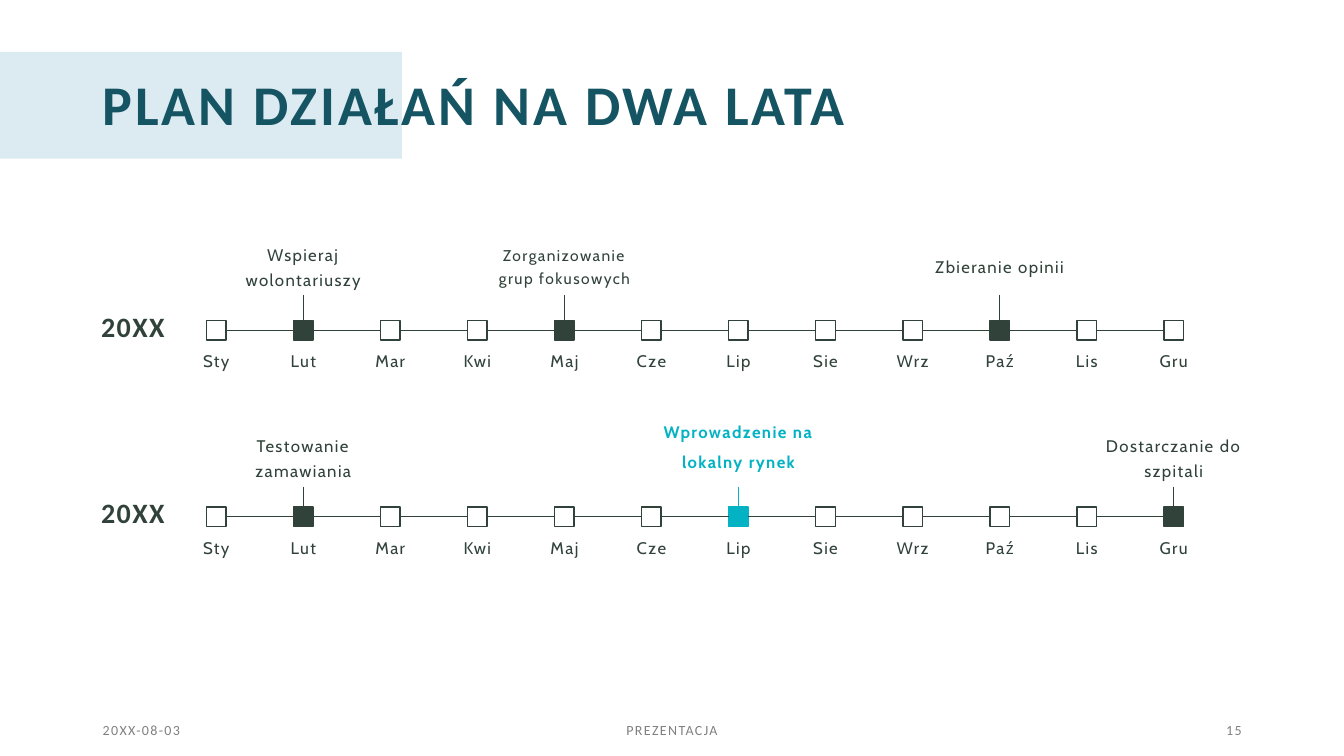
"""Build the two-year action plan slide with one month timeline per year."""
from dataclasses import dataclass

import lxml.etree
import pptx
import pptx.dml.color
import pptx.enum.shapes
import pptx.enum.text
import pptx.oxml.ns
import pptx.shapes.autoshape
import pptx.shapes.base
import pptx.shapes.connector
import pptx.slide
import pptx.text.text
import pptx.util

Cm = pptx.util.Cm
Align = pptx.enum.text.PP_ALIGN
Anchor = pptx.enum.text.MSO_ANCHOR

DARK = "30423A"
ACCENT = "04B3C3"
TITLE = "155463"
BAND = "DCEAF1"
GREY = "808080"

MONTHS = ["Sty", "Lut", "Mar", "Kwi", "Maj", "Cze", "Lip", "Sie", "Wrz", "Paź", "Lis", "Gru"]
FIRST_CENTER = 5.45
AXIS_LENGTH = 24.13
SQUARE = 0.49
MONTH_WIDTH = 1.7


@dataclass
class Event:
    month: str
    text: str
    size: float = 12
    color: str = DARK
    bold: bool = False
    spacing: float = 1.25
    width: float = 3.99
    height: float = 1.53


@dataclass
class Year:
    name: str
    axis: float
    event_bottom: float
    events: list[Event]


@dataclass
class Footer:
    text: str
    left: float
    width: float
    align: Align


YEARS = [
    Year("20XX", 8.32, 7.43, [
        Event("Lut", "Wspieraj wolontariuszy"),
        Event("Maj", "Zorganizowanie grup fokusowych", size=11.1),
        Event("Paź", "Zbieranie opinii"),
    ]),
    Year("20XX", 13.02, 12.26, [
        Event("Lut", "Testowanie zamawiania"),
        Event("Lip", "Wprowadzenie na lokalny rynek", size=11.9, color=ACCENT,
              bold=True, spacing=1.5, width=4.45, height=2.24),
        Event("Gru", "Dostarczanie do szpitali"),
    ]),
]

FOOTERS = [
    Footer("20XX-08-03", 2.34, 7.62, Align.LEFT),
    Footer("PREZENTACJA", 11.22, 11.43, Align.CENTER),
    Footer("15", 23.92, 7.62, Align.RIGHT),
]


def rgb(color: str) -> pptx.dml.color.RGBColor:
    return pptx.dml.color.RGBColor.from_string(color)


def write(frame: pptx.text.text.TextFrame, text: str, *, font: str = "Cabin",
          size: float = 12, color: str = DARK, bold: bool = False,
          align: Align = Align.CENTER, anchor: Anchor = Anchor.MIDDLE,
          spacing: float = 1.0, tracking: float = 1) -> None:
    frame.word_wrap = True
    frame.auto_size = pptx.enum.text.MSO_AUTO_SIZE.NONE
    frame.vertical_anchor = anchor
    para = frame.paragraphs[0]
    para.alignment = align
    para.line_spacing = spacing
    span = para.add_run()
    span.text = text
    span.font.name = font
    span.font.size = pptx.util.Pt(size)
    span.font.bold = bold
    span.font.color.rgb = rgb(color)
    span._r.get_or_add_rPr().set("spc", str(round(tracking * 100)))


def add_text(page: pptx.slide.Slide, left: float, top: float, width: float,
             height: float, text: str, **style) -> pptx.shapes.autoshape.Shape:
    box = page.shapes.add_textbox(Cm(left), Cm(top), Cm(width), Cm(height))
    write(box.text_frame, text, **style)
    return box


def add_rectangle(page: pptx.slide.Slide, left: float, top: float, width: float,
                  height: float, fill: str | None,
                  line: str | None) -> pptx.shapes.autoshape.Shape:
    box = page.shapes.add_shape(pptx.enum.shapes.MSO_SHAPE.RECTANGLE,
                                Cm(left), Cm(top), Cm(width), Cm(height))
    box.shadow.inherit = False
    if fill:
        box.fill.solid()
        box.fill.fore_color.rgb = rgb(fill)
    else:
        box.fill.background()
    if line:
        box.line.color.rgb = rgb(line)
        box.line.width = pptx.util.Pt(1)
    else:
        box.line.fill.background()
    return box


def join(page: pptx.slide.Slide, start: pptx.shapes.base.BaseShape, start_side: int,
         end: pptx.shapes.base.BaseShape, end_side: int,
         color: str) -> pptx.shapes.connector.Connector:
    link = page.shapes.add_connector(pptx.enum.shapes.MSO_CONNECTOR.STRAIGHT, 0, 0, 0, 0)
    link.begin_connect(start, start_side)
    link.end_connect(end, end_side)
    link.line.color.rgb = rgb(color)
    link.line.width = pptx.util.Pt(0.5)
    lxml.etree.SubElement(link.element.spPr, pptx.oxml.ns.qn("a:effectLst"))
    return link


def draw_title(page: pptx.slide.Slide) -> None:
    band = add_rectangle(page, 0, 1.31, 10.13, 2.69, BAND, None)
    page.shapes.element.insert(2, band.element)
    title = page.shapes.title
    title.left, title.top, title.width, title.height = Cm(2.34), Cm(1.85), Cm(29.21), Cm(1.83)
    write(title.text_frame, "PLAN DZIAŁAŃ NA DWA LATA", font="Calibri", size=40,
          color=TITLE, bold=True, align=Align.LEFT, spacing=0.8, tracking=2)


def draw_year(page: pptx.slide.Slide, year: Year) -> None:
    add_text(page, 1.93, year.axis - 0.75, 2.84, 1.4, year.name,
             font="Calibri", size=20, bold=True, spacing=0.9)
    events = {event.month: event for event in year.events}
    previous = None
    for index, month in enumerate(MONTHS):
        center = FIRST_CENTER + AXIS_LENGTH * index / (len(MONTHS) - 1)
        event = events.get(month)
        color = event.color if event else DARK
        square = add_rectangle(page, center - SQUARE / 2, year.axis - SQUARE / 2,
                               SQUARE, SQUARE, color if event else None, color)
        add_text(page, center - MONTH_WIDTH / 2, year.axis + 0.5, MONTH_WIDTH, 1.8,
                 month, anchor=Anchor.TOP, spacing=0.8)
        if previous is not None:
            join(page, previous, 3, square, 1, DARK)
        if event:
            label = add_text(page, center - event.width / 2, year.event_bottom - event.height,
                             event.width, event.height, event.text, size=event.size,
                             color=color, bold=event.bold, spacing=event.spacing)
            join(page, label, 2, square, 0, color)
        previous = square


def main() -> None:
    deck = pptx.Presentation()
    deck.slide_width, deck.slide_height = Cm(33.87), Cm(19.05)
    page = deck.slides.add_slide(deck.slide_layouts[5])
    draw_title(page)
    for year in YEARS:
        draw_year(page, year)
    for footer in FOOTERS:
        add_text(page, footer.left, 18.11, footer.width, 0.56, footer.text,
                 font="Calibri", size=10, color=GREY, align=footer.align)
    deck.save("out.pptx")


if __name__ == "__main__":
    main()
